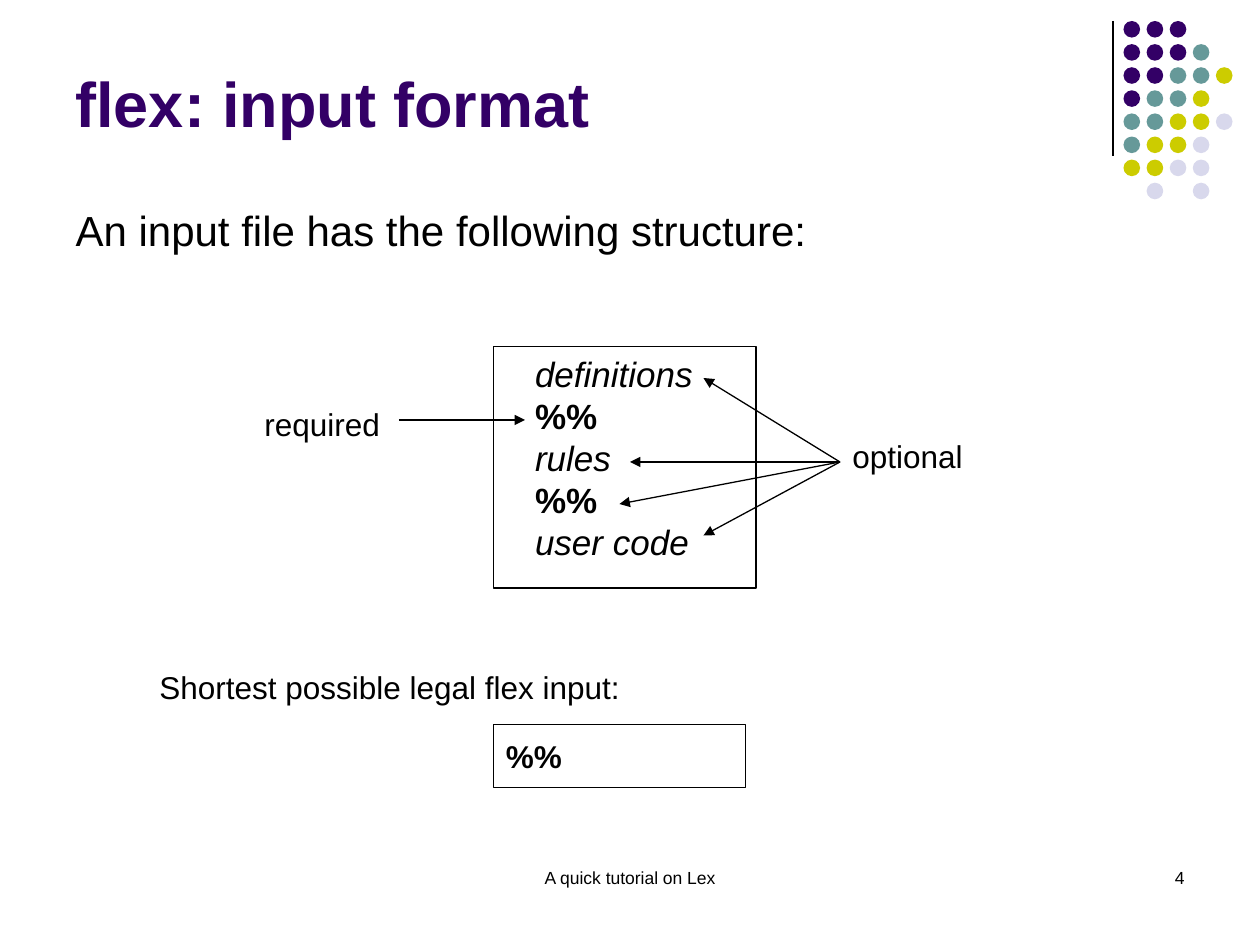
from lxml.etree import SubElement
from pptx import Presentation
from pptx.dml.color import RGBColor
from pptx.enum.shapes import MSO_CONNECTOR, MSO_SHAPE
from pptx.enum.text import MSO_ANCHOR, MSO_AUTO_SIZE, PP_ALIGN
from pptx.oxml.ns import qn
from pptx.util import Pt

BLACK = RGBColor(0x00, 0x00, 0x00)
PURPLE = RGBColor(0x33, 0x00, 0x66)
TEAL = RGBColor(0x66, 0x99, 0x99)
OLIVE = RGBColor(0xCC, 0xCC, 0x00)
LAVENDER = RGBColor(0xD8, 0xD8, 0xEC)

TITLE = "flex: input format"
INTRO = "An input file has the following structure:"
SECTIONS = [
    ("definitions", "italic"),
    ("%%", "bold"),
    ("rules", "italic"),
    ("%%", "bold"),
    ("user code", "italic"),
]
SHORTEST = [("%%", "bold")]
LABELS = [
    ("optional", (480, 246, 82, 29), 18, PP_ALIGN.LEFT),
    ("required", (144, 228, 84, 29), 18, PP_ALIGN.LEFT),
    ("Shortest possible legal flex input:", (84, 378, 284, 29), 18, PP_ALIGN.LEFT),
    ("A quick tutorial on Lex", (246, 492, 228, 36), 10, PP_ALIGN.CENTER),
    ("4", (516, 492, 168, 36), 10, PP_ALIGN.RIGHT),
]
REQUIRED_ARROW = ((228, 240), (300, 240))
OPTIONAL_START = (480, 264)
OPTIONAL_ENDS = [(402, 216), (360, 264), (354, 288), (402, 306)]

DOT_ROWS = ["PPP", "PPPT", "PPTTO", "PTTO", "TTOOL", "TOOL", "OOLL", " L L"]
DOT_COLORS = {"P": PURPLE, "T": TEAL, "O": OLIVE, "L": LAVENDER}
DOT_LEFT, DOT_TOP, DOT_PITCH, DOT_SIZE = 642, 12, 13.2, 9.5


def place(sp, box):
    sp.left, sp.top, sp.width, sp.height = (Pt(v) for v in box)


def add_run(p, text, size, color=BLACK, style=""):
    r = p.add_run()
    r.text = text
    r.font.name = "Arial"
    r.font.size = Pt(size)
    r.font.color.rgb = color
    r.font.bold = style == "bold"
    r.font.italic = style == "italic"


def fill_placeholder(sp, box, text, size, color, style, anchor):
    place(sp, box)
    tf = sp.text_frame
    tf.auto_size = MSO_AUTO_SIZE.NONE
    tf.vertical_anchor = anchor
    p = tf.paragraphs[0]
    p.alignment = PP_ALIGN.LEFT
    p.space_before = Pt(0)
    pPr = p._p.get_or_add_pPr()
    pPr.set("marL", "0")
    pPr.set("indent", "0")
    SubElement(pPr, qn("a:buNone"))
    add_run(p, text, size, color, style)


def add_line(s, start, end, arrow=True):
    line = s.shapes.add_connector(MSO_CONNECTOR.STRAIGHT, *(Pt(v) for v in start + end))
    line.line.color.rgb = BLACK
    line.line.width = Pt(0.75)
    if arrow:
        SubElement(line.line._get_or_add_ln(), qn("a:tailEnd"), type="triangle")
    SubElement(line._element.spPr, qn("a:effectLst"))


def add_dots(s):
    for row, codes in enumerate(DOT_ROWS):
        for col, code in enumerate(codes):
            if code == " ":
                continue
            left = DOT_LEFT + col * DOT_PITCH
            top = DOT_TOP + row * DOT_PITCH
            dot = s.shapes.add_shape(
                MSO_SHAPE.OVAL, Pt(left), Pt(top), Pt(DOT_SIZE), Pt(DOT_SIZE))
            dot.shadow.inherit = False
            dot.fill.solid()
            dot.fill.fore_color.rgb = DOT_COLORS[code]
            dot.line.fill.background()


def add_frame(s, box, lines, size, inset, anchor, spacing=None):
    sp = s.shapes.add_shape(MSO_SHAPE.RECTANGLE, *(Pt(v) for v in box))
    sp.shadow.inherit = False
    sp.fill.background()
    sp.line.color.rgb = BLACK
    sp.line.width = Pt(0.75)
    tf = sp.text_frame
    tf.word_wrap = True
    tf.vertical_anchor = anchor
    tf.margin_left = Pt(inset)
    tf.margin_top = tf.margin_bottom = Pt(3.6)
    for i, (text, style) in enumerate(lines):
        p = tf.add_paragraph() if i else tf.paragraphs[0]
        p.alignment = PP_ALIGN.LEFT
        if spacing:
            p.line_spacing = Pt(spacing)
        add_run(p, text, size, style=style)


def add_label(s, text, box, size, align):
    sp = s.shapes.add_textbox(*(Pt(v) for v in box))
    tf = sp.text_frame
    tf.word_wrap = True
    p = tf.paragraphs[0]
    p.alignment = align
    add_run(p, text, size)


def main():
    prs = Presentation()
    prs.slide_width, prs.slide_height = Pt(720), Pt(540)
    s = prs.slides.add_slide(prs.slide_layouts[1])

    fill_placeholder(s.shapes.title, (36, 9.5, 594, 74), TITLE, 36, PURPLE,
                     "bold", MSO_ANCHOR.BOTTOM)
    fill_placeholder(s.placeholders[1], (36, 113.5, 648, 42), INTRO, 24, BLACK,
                     "", MSO_ANCHOR.TOP)

    add_line(s, (636, 12), (636, 89), arrow=False)
    add_dots(s)

    add_frame(s, (282, 198, 150, 138), SECTIONS, 20, 23.75, MSO_ANCHOR.TOP, spacing=24)
    add_frame(s, (282, 414, 144, 36), SHORTEST, 18, 7.2, MSO_ANCHOR.MIDDLE)
    for label in LABELS:
        add_label(s, *label)

    add_line(s, *REQUIRED_ARROW)
    for end in OPTIONAL_ENDS:
        add_line(s, OPTIONAL_START, end)

    prs.save("out.pptx")


if __name__ == "__main__":
    main()
